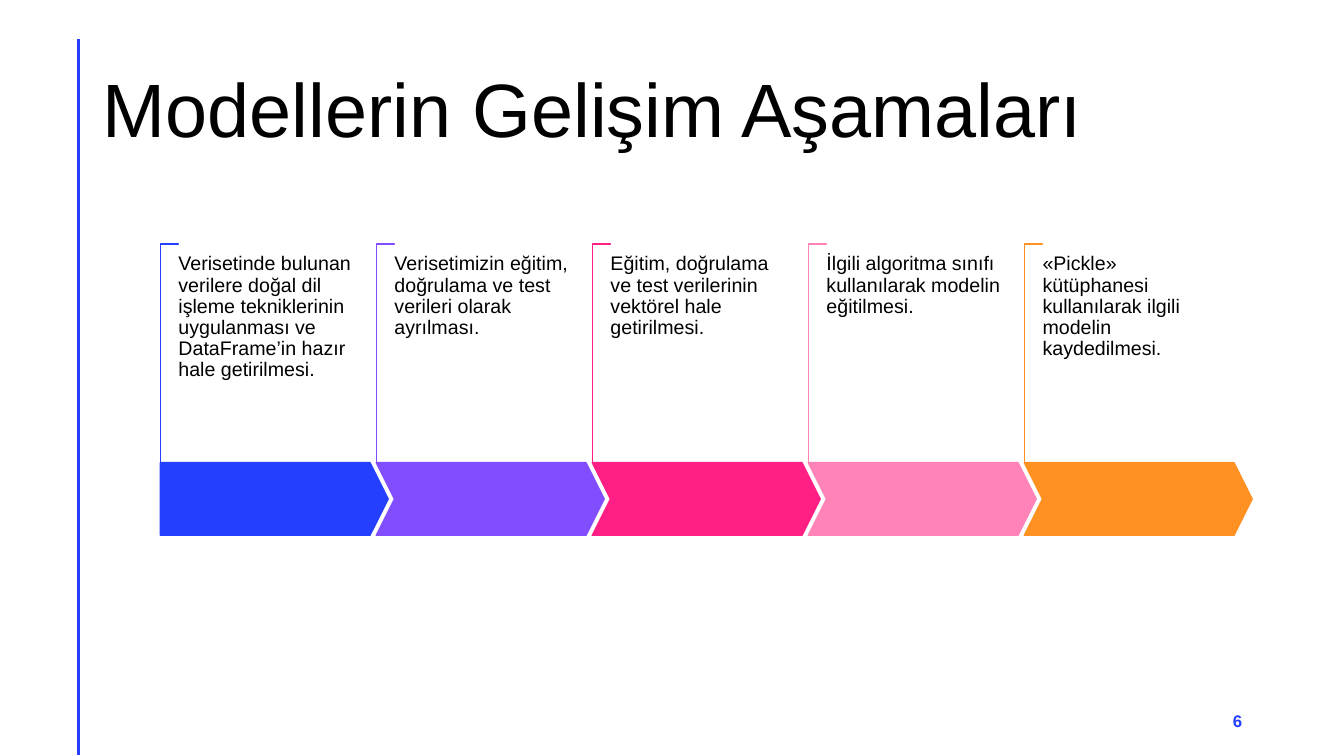
from lxml import etree
from pptx import Presentation
from pptx.dml.color import RGBColor
from pptx.enum import shapes, text
from pptx.oxml import ns
from pptx.util import Inches, Pt

COLORS = {
    "text": "000000", "paper": "FFFFFF", "blue": "243FFF", "violet": "814DFF",
    "magenta": "FF1F85", "pink": "FF83B6", "orange": "FF9022",
}
STAGES = [
    ("blue", "Verisetinde bulunan verilere doğal dil işleme tekniklerinin "
             "uygulanması ve DataFrame’in hazır hale getirilmesi."),
    ("violet", "Verisetimizin eğitim, doğrulama ve test verileri olarak ayrılması."),
    ("magenta", "Eğitim, doğrulama ve test verilerinin vektörel hale getirilmesi."),
    ("pink", "İlgili algoritma sınıfı kullanılarak modelin eğitilmesi."),
    ("orange", "«Pickle» kütüphanesi kullanılarak ilgili modelin kaydedilmesi."),
]
ARROW_W, ARROW_H = 2.26, 0.72
BRACKET_W, BRACKET_H = 0.18, 2.17


def rgb(name):
    """Return the palette colour of that name."""
    return RGBColor.from_string(COLORS[name])


def apply(target, values):
    """Set each attribute of target from a dict of format values."""
    for key, value in values.items():
        setattr(target, key, value)


def place(sp, left, top, width, height):
    """Move and size a shape, with lengths in inches."""
    apply(sp, {"left": Inches(left), "top": Inches(top),
               "width": Inches(width), "height": Inches(height)})


def write(sp, words, size, color="text", frame=None, para=None, font=None):
    """Fill a shape with one formatted paragraph."""
    tf = sp.text_frame
    apply(tf, {"word_wrap": True, "auto_size": text.MSO_AUTO_SIZE.NONE, **(frame or {})})
    p = tf.paragraphs[0]
    apply(p, para or {})
    r = p.add_run()
    r.text = words
    apply(r.font, {"name": "Arial", "size": Pt(size), **(font or {})})
    r.font.color.rgb = rgb(color)


def add_outline(s, kind, box, fill, line, adjustments):
    """Add a preset shape with a solid fill and a thin outline."""
    sp = s.shapes.add_shape(kind, *map(Inches, box))
    sp.shadow.inherit = False
    sp.fill.solid()
    sp.fill.fore_color.rgb = rgb(fill)
    sp.line.color.rgb = rgb(line)
    sp.line.width = Pt(1)
    for i, value in enumerate(adjustments):
        sp.adjustments[i] = value
    return sp


def add_side_rule(s, x, top, bottom):
    """Draw the vertical accent line at the left edge."""
    rule = s.shapes.add_connector(
        shapes.MSO_CONNECTOR.STRAIGHT, Inches(x), Inches(top), Inches(x), Inches(bottom))
    rule.line.color.rgb = rgb("blue")
    rule.line.width = Pt(2)
    etree.SubElement(rule._element.spPr, ns.qn("a:effectLst"))


def add_title(s, words, left, top, width, height):
    """Place and fill the title placeholder."""
    place(s.shapes.title, left, top, width, height)
    write(s.shapes.title, words, 54,
          frame={"vertical_anchor": text.MSO_ANCHOR.MIDDLE},
          para={"alignment": text.PP_ALIGN.LEFT, "line_spacing": 0.9})


def add_page_number(s, number, left, top, width, height):
    """Write the page number at the right of its box."""
    sp = s.shapes.add_textbox(*map(Inches, (left, top, width, height)))
    write(sp, number, 12, "blue",
          frame={"vertical_anchor": text.MSO_ANCHOR.MIDDLE},
          para={"alignment": text.PP_ALIGN.RIGHT, "space_after": Pt(6)},
          font={"bold": True})


def add_stage(s, left, top, arrow, color, words):
    """Draw one stage: bracket, arrow and description."""
    bracket = add_outline(
        s, shapes.MSO_SHAPE.CORNER,
        (left + (BRACKET_W - BRACKET_H) / 2, top + (BRACKET_H - BRACKET_W) / 2,
         BRACKET_H, BRACKET_W),
        "paper", color, (0.01, 0.01))
    bracket.rotation = 90
    add_outline(s, arrow, (left, top + BRACKET_H, ARROW_W, ARROW_H), color, color, (0.25,))
    sp = s.shapes.add_textbox(
        *map(Inches, (left + BRACKET_W, top + 0.1, 1.83, 1.55)))
    margins = dict.fromkeys(
        ("margin_left", "margin_top", "margin_right", "margin_bottom"), 0)
    write(sp, words, 14, frame=margins, para={"line_spacing": 0.9})


def add_timeline(s, left, top, width):
    """Spread the stages evenly across the given width."""
    pitch = (width - ARROW_W) / (len(STAGES) - 1)
    for i, (color, words) in enumerate(STAGES):
        arrow = shapes.MSO_SHAPE.CHEVRON if i else shapes.MSO_SHAPE.PENTAGON
        add_stage(s, left + i * pitch, top, arrow, color, words)


def main():
    """Build the slide and save it."""
    prs = Presentation()
    apply(prs, {"slide_width": Inches(13.33), "slide_height": Inches(7.5)})
    s = prs.slides.add_slide(prs.slide_layouts[5])
    add_side_rule(s, 0.78, 0.39, 7.49)
    add_title(s, "Modellerin Gelişim Aşamaları", 0.92, 0.4, 11.5, 1.45)
    add_page_number(s, "6", 9.42, 6.95, 3, 0.4)
    add_timeline(s, 1.59, 2.42, 10.83)
    prs.save("out.pptx")


if __name__ == "__main__":
    main()
